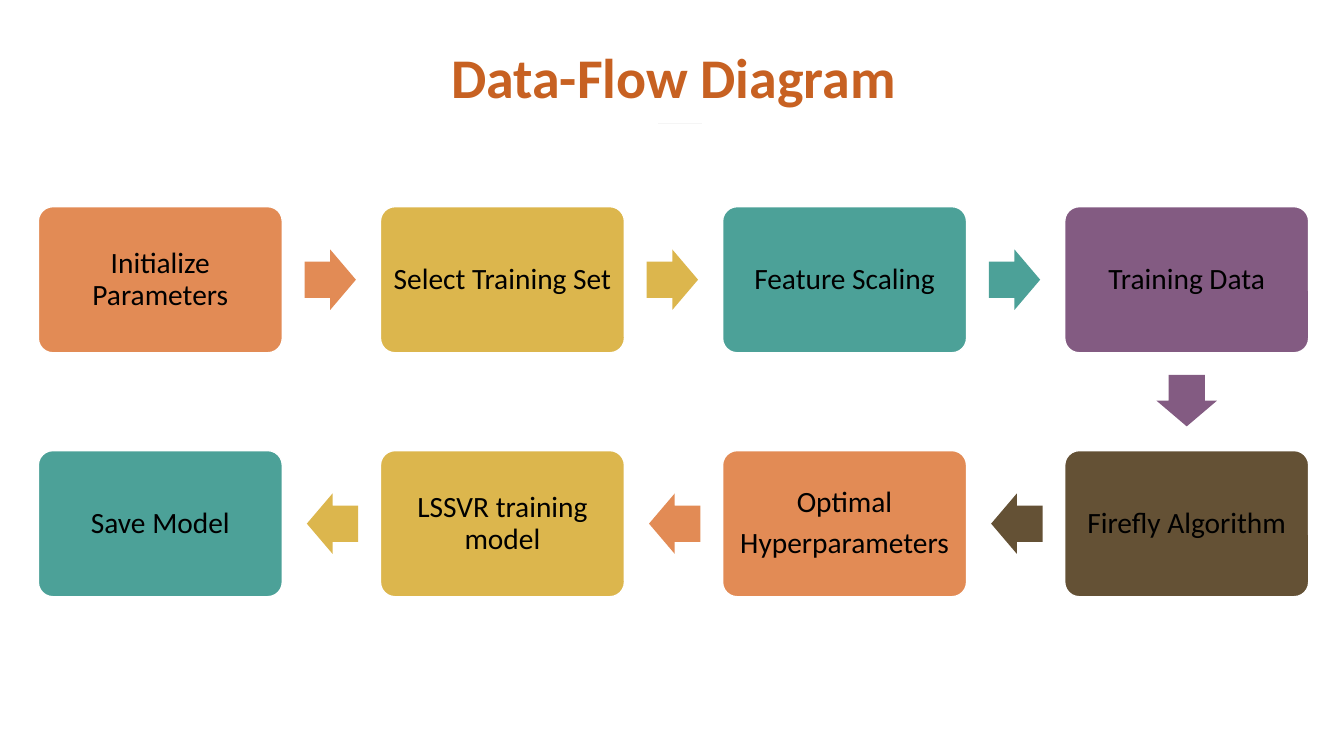
from pptx import Presentation
from pptx.dml.color import RGBColor
from pptx.enum.shapes import MSO_CONNECTOR, MSO_SHAPE
from pptx.enum.text import MSO_ANCHOR, MSO_AUTO_SIZE, PP_ALIGN
from pptx.oxml.ns import qn
from pptx.util import Pt

EMU_PER_PX = 9144
FONT = "Calibri"
STRAIGHT = MSO_CONNECTOR.STRAIGHT
ROUNDED = MSO_SHAPE.ROUNDED_RECTANGLE
ARROW = MSO_SHAPE.RIGHT_ARROW
TOP, MIDDLE = MSO_ANCHOR.TOP, MSO_ANCHOR.MIDDLE
CENTER = PP_ALIGN.CENTER
NO_AUTOFIT = MSO_AUTO_SIZE.NONE

ORANGE, GOLD, TEAL = "E28B55", "DCB64D", "4CA198"
PURPLE, BROWN = "835B82", "645135"
STEPS = [
    ("Initialize Parameters", ORANGE),
    ("Select Training Set", GOLD),
    ("Feature Scaling", TEAL),
    ("Training Data", PURPLE),
    ("Firefly Algorithm", BROWN),
    ("Optimal\nHyperparameters", ORANGE),
    ("LSSVR training model", GOLD),
    ("Save Model", TEAL),
]
COLUMNS = 4
STEP_WIDTH, STEP_HEIGHT = 242, 145
ARROW_WIDTH, ARROW_HEIGHT = 51, 60
ARROW_GAP = 22


def px(length):
    return round(length * EMU_PER_PX)


def color(value):
    return RGBColor.from_string(value)


def set_text(shape, text, size, fill, bold=False, anchor=MIDDLE,
             margins=(10, 5), line_spacing=1.0, gap=0):
    frame = shape.text_frame
    frame.word_wrap = True
    frame.auto_size = NO_AUTOFIT
    frame.vertical_anchor = anchor
    frame.margin_left = frame.margin_right = px(margins[0])
    frame.margin_top = frame.margin_bottom = px(margins[1])
    frame.text = text
    for index, paragraph in enumerate(frame.paragraphs):
        paragraph.alignment = CENTER
        paragraph.line_spacing = line_spacing
        paragraph.space_before = Pt(gap if index else 0)
        font = paragraph.runs[0].font
        font.name, font.size, font.bold = FONT, Pt(size), bold
        font.color.rgb = color(fill)


def add_block(slide, kind, left, top, width, height, fill):
    shape = slide.shapes.add_shape(kind, px(left), px(top), px(width), px(height))
    shape.shadow.inherit = False
    shape.fill.solid()
    shape.fill.fore_color.rgb = color(fill)
    shape.line.fill.background()
    return shape


def add_title(slide, left, top, width, height):
    title = slide.shapes.title
    title.left, title.top = px(left), px(top)
    title.width, title.height = px(width), px(height)
    set_text(title, "Data-Flow Diagram", 40, "C76122", bold=True, anchor=TOP)
    rule_left, rule_top = left + 650, top + 85
    rule = slide.shapes.add_connector(
        STRAIGHT, px(rule_left), px(rule_top), px(rule_left + 43), px(rule_top))
    rule.line.color.rgb = color("F5F5F5")
    rule.line.width = Pt(0.5)
    properties = rule._element.spPr
    properties.append(properties.makeelement(qn("a:effectLst"), {}))


def add_step(slide, text, fill, left, top):
    step = add_block(slide, ROUNDED, left, top, STEP_WIDTH, STEP_HEIGHT, fill)
    step.adjustments[0] = 0.1
    step.line.color.rgb = color("FFFFFF")
    step.line.width = Pt(1)
    set_text(step, text, 21, "000000", margins=(8, 8), line_spacing=0.9, gap=7)


def add_arrow(slide, fill, center_x, center_y, rotation):
    arrow = add_block(slide, ARROW, center_x - ARROW_WIDTH / 2,
                      center_y - ARROW_HEIGHT / 2, ARROW_WIDTH, ARROW_HEIGHT, fill)
    arrow.adjustments[0] = 0.6
    arrow.adjustments[1] = 0.5
    arrow.rotation = rotation


def add_flow(slide, left, top, width, height):
    pitch = (width - STEP_WIDTH) / (COLUMNS - 1)
    reach_x = STEP_WIDTH / 2 + ARROW_GAP + ARROW_WIDTH / 2
    reach_y = STEP_HEIGHT / 2 + ARROW_GAP + ARROW_WIDTH / 2
    for index, (text, fill) in enumerate(STEPS):
        row, column = divmod(index, COLUMNS)
        if row:
            column = COLUMNS - 1 - column
        step_left = left + column * pitch
        step_top = top + row * (height - STEP_HEIGHT)
        add_step(slide, text, fill, step_left, step_top)
        center_x = step_left + STEP_WIDTH / 2
        center_y = step_top + STEP_HEIGHT / 2
        if index == COLUMNS - 1:
            add_arrow(slide, fill, center_x, center_y + reach_y, 90)
        elif index < len(STEPS) - 1:
            direction = -1 if row else 1
            add_arrow(slide, fill, center_x + direction * reach_x, center_y,
                      180 if row else 0)


def main():
    presentation = Presentation()
    presentation.slide_width = px(1333)
    presentation.slide_height = px(750)
    slide = presentation.slides.add_slide(presentation.slide_layouts[5])
    add_title(slide, 3, 37, 1330, 77)
    add_flow(slide, 38, 205, 1260, 387)
    presentation.save("out.pptx")


if __name__ == "__main__":
    main()
